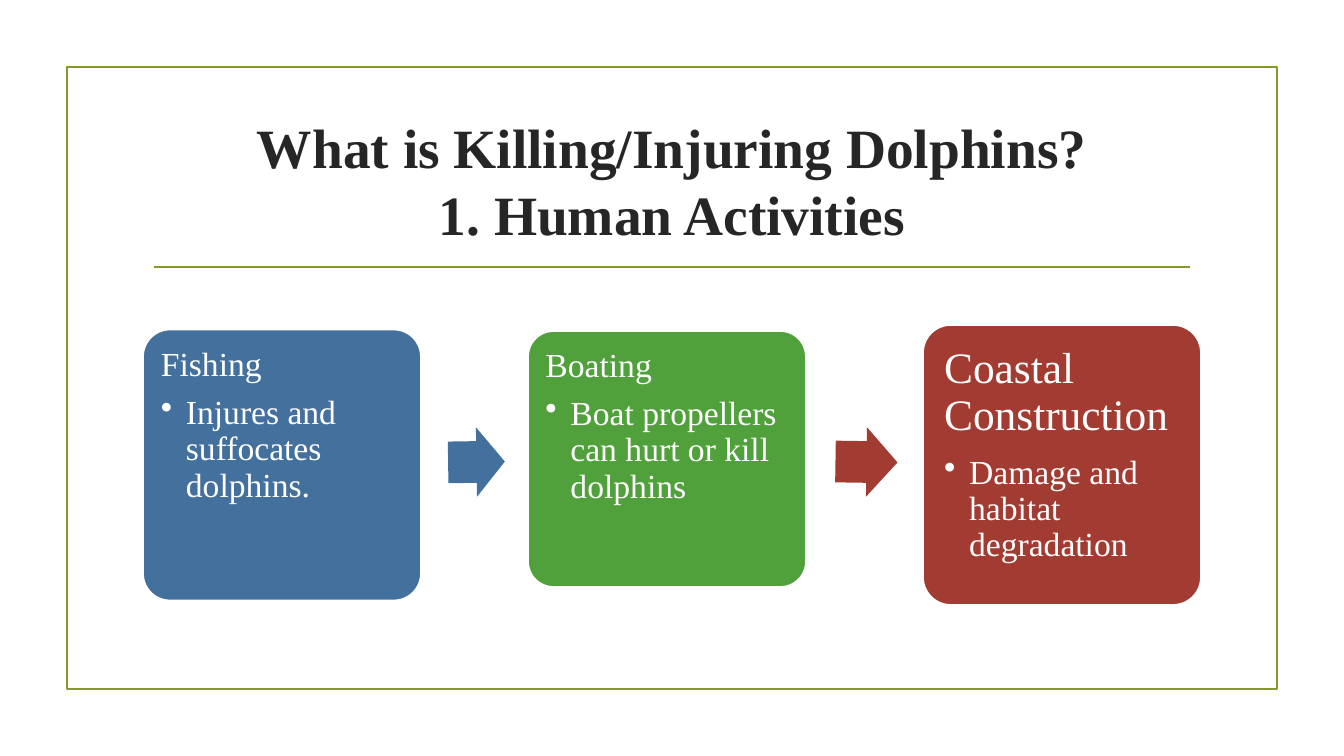
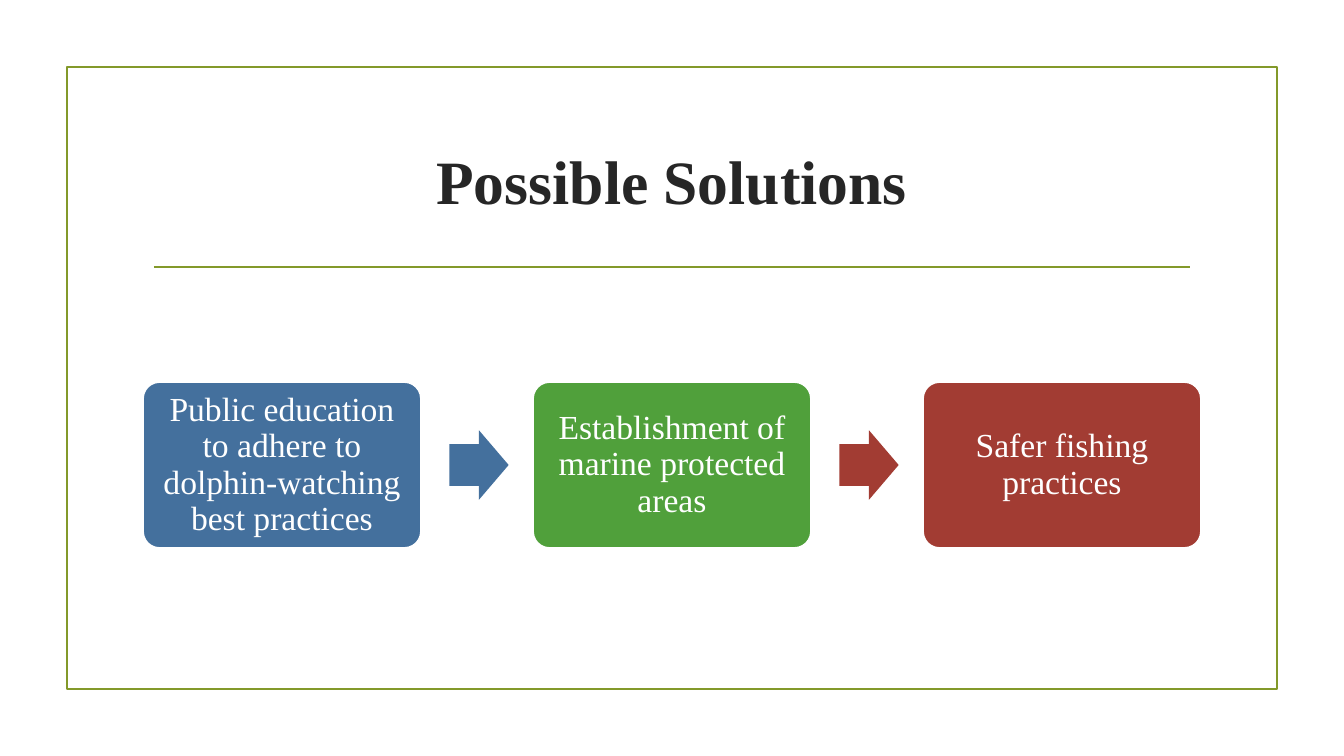
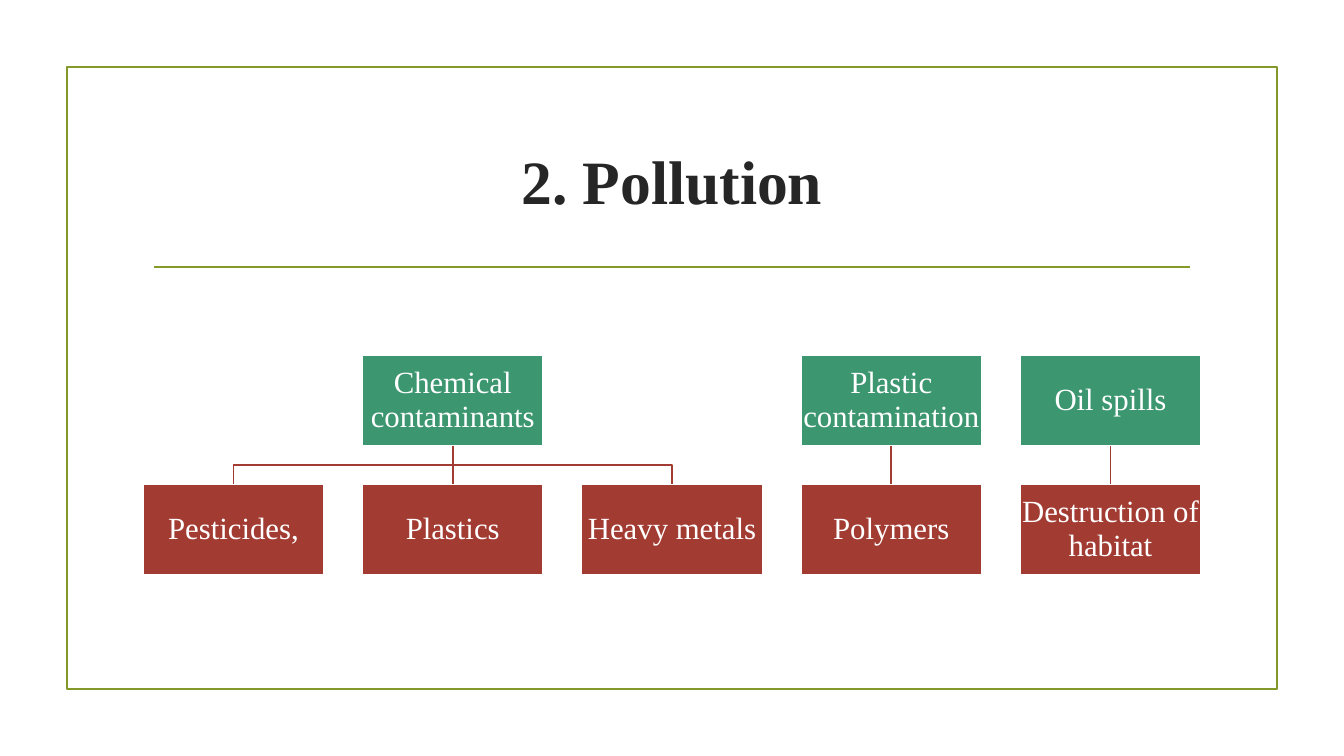
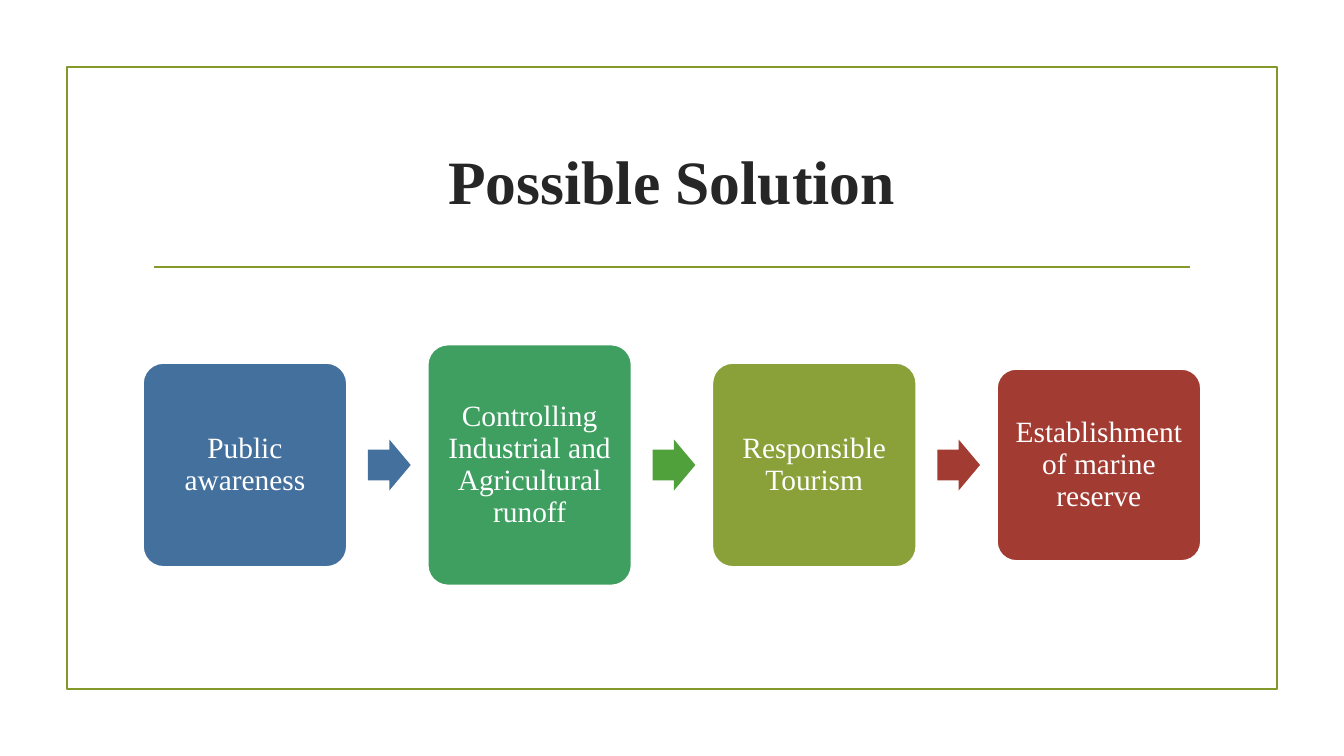
import math

import pptx
import pptx.dml.color
import pptx.enum.shapes
import pptx.enum.text
import pptx.util
from lxml import etree
from pptx.oxml.ns import qn

SHAPE = pptx.enum.shapes.MSO_SHAPE
ALIGN = pptx.enum.text.PP_ALIGN
ANCHOR = pptx.enum.text.MSO_ANCHOR

EMU_PER_PX = 914400 / 100.8
FONT = "Times New Roman"
WHITE, INK, OLIVE = "FFFFFF", "262626", "83992A"
BLUE, GREEN, RED = "44709D", "50A03B", "A23C33"
SEA, TEAL, MOSS = "3E9F61", "3C9770", "89A138"
LINE_WIDTH = 1.25

FRAME = (67, 67, 1210, 622)
TITLE = (143, 108, 1058, 144)
BODY = (143, 325, 1058, 280)


def px(length):
    return pptx.util.Emu(round(length * EMU_PER_PX))


def rgb(hex_code):
    return pptx.dml.color.RGBColor.from_string(hex_code)


def set_line(line, color):
    line.color.rgb = rgb(color)
    line.width = pptx.util.Pt(LINE_WIDTH)


def add_box(slide, kind, box, fill=None, line=None):
    shape = slide.shapes.add_shape(kind, *map(px, box))
    shape.shadow.inherit = False
    if fill:
        shape.fill.solid()
        shape.fill.fore_color.rgb = rgb(fill)
    else:
        shape.fill.background()
    if line:
        set_line(shape.line, line)
    else:
        shape.line.fill.background()
    return shape


def add_line(slide, start, end, color):
    line = slide.shapes.add_connector(
        pptx.enum.shapes.MSO_CONNECTOR.STRAIGHT, *map(px, start + end))
    set_line(line.line, color)
    etree.SubElement(line._element.spPr, qn("a:effectLst"))
    return line


def set_frame(shape, inset, anchor):
    frame = shape.text_frame
    frame.word_wrap = True
    frame.vertical_anchor = anchor
    frame.margin_left = frame.margin_right = px(inset)
    frame.margin_top = frame.margin_bottom = px(inset)
    return frame


def write(frame, text, size=24, color=WHITE, bold=False, align=ALIGN.CENTER,
          line_spacing=0.9, after=0.35, bullet=False):
    """Add one paragraph; after is a share of the text size."""
    paragraph = frame.paragraphs[0]
    if paragraph.runs:
        paragraph = frame.add_paragraph()
    paragraph.text = text
    paragraph.alignment = align
    paragraph.line_spacing = line_spacing
    paragraph.space_after = pptx.util.Pt(round(size * after, 2))
    for run in paragraph.runs:
        run.font.name = FONT
        run.font.size = pptx.util.Pt(size)
        run.font.bold = bold
        run.font.color.rgb = rgb(color)
    if bullet:
        properties = paragraph._p.get_or_add_pPr()
        properties.set("marL", str(px(25)))
        properties.set("indent", str(px(-25)))
        etree.SubElement(properties, qn("a:buChar"), char="•")


def titled_slide(deck, title, size=44):
    slide = deck.slides.add_slide(deck.slide_layouts[6])
    add_box(slide, SHAPE.RECTANGLE, FRAME, line=OLIVE)
    add_line(slide, (154, 267), (1190, 267), OLIVE)
    heading = slide.shapes.add_textbox(*map(px, TITLE))
    write(set_frame(heading, 5, ANCHOR.MIDDLE), title, size=size, color=INK,
          bold=True, line_spacing=1, after=0)
    return slide


def step_card(slide, box, step, size):
    card = add_box(slide, SHAPE.ROUNDED_RECTANGLE, box, step["color"], WHITE)
    card.adjustments[0] = 0.1
    size = step.get("size", size)
    inset = round(size * 0.42)
    if "detail" in step:
        frame = set_frame(card, inset, ANCHOR.TOP)
        write(frame, step["text"], size=size, align=ALIGN.LEFT)
        write(frame, step["detail"], align=ALIGN.LEFT, after=0.15, bullet=True)
    else:
        write(set_frame(card, inset, ANCHOR.MIDDLE), step["text"], size=size)


def step_arrow(slide, before, after, height, color):
    """Point an arrow from one card box to the next, across their gap."""
    x1, y1, w1, h1 = before
    x2, y2, w2, h2 = after
    gap = x2 - x1 - w1
    width = gap * 0.53
    middle_x = x1 + w1 + gap / 2 + 2
    rise = (y2 + h2 / 2) - (y1 + h1 / 2)
    middle_y = y1 + h1 / 2 + rise / 2
    arrow = add_box(slide, SHAPE.RIGHT_ARROW,
                    (middle_x - width / 2, middle_y - height / 2, width, height),
                    color)
    arrow.adjustments[0] = 0.6
    arrow.adjustments[1] = 0.5
    arrow.rotation = round(math.degrees(math.atan2(rise, x2 - x1)), 2)


def step_chain(slide, box, steps, card_width, arrow_colors, size=24):
    """Spread cards evenly over the box, centred on its middle line."""
    left, top, width, height = box
    pitch = (width - card_width) / (len(steps) - 1)
    cards = []
    for index, step in enumerate(steps):
        shift_x, shift_y = step.get("shift", (0, 0))
        card = (left + index * pitch + shift_x,
                top + (height - step["height"]) / 2 + shift_y,
                card_width, step["height"])
        step_card(slide, card, step, size)
        cards.append(card)
    for before, after, color in zip(cards, cards[1:], arrow_colors):
        step_arrow(slide, before, after, card_width / 4, color)


def tree_node(slide, box, text, color):
    node = add_box(slide, SHAPE.RECTANGLE, box, color, WHITE)
    write(set_frame(node, 1, ANCHOR.MIDDLE), text, size=22)
    return node


def elbow(slide, start, end, color):
    (x1, y1), (x2, y2) = start, end
    middle = (y1 + y2) / 2
    builder = slide.shapes.build_freeform(px(x1), px(y1))
    builder.add_line_segments(
        [(px(x), px(y)) for x, y in ((x1, middle), (x2, middle), (x2, y2))],
        close=False)
    branch = builder.convert_to_shape()
    branch.shadow.inherit = False
    branch.fill.background()
    set_line(branch.line, color)


def cause_trees(slide, box, trees):
    """Place each cause above the middle one of its effects."""
    left, top, width, height = box
    node_width, node_height, row_gap = 181, 91, 38
    columns = sum(len(effects) for _, effects in trees)
    pitch = (width - node_width) / (columns - 1)
    cause_top = top + (height - 2 * node_height - row_gap) / 2
    effect_top = cause_top + node_height + row_gap
    column = 0
    for cause, effects in trees:
        center = column + len(effects) // 2
        cause_left = left + center * pitch
        parent = tree_node(slide, (cause_left, cause_top, node_width, node_height),
                           cause, TEAL)
        start = (cause_left + node_width / 2, cause_top + node_height)
        for effect in effects:
            effect_left = left + column * pitch
            child = tree_node(
                slide, (effect_left, effect_top, node_width, node_height),
                effect, RED)
            end = (effect_left + node_width / 2, effect_top)
            if column == center:
                link = add_line(slide, start, end, RED)
                link.begin_connect(parent, 2)
                link.end_connect(child, 0)
            else:
                elbow(slide, start, end, RED)
            column += 1


def main():
    deck = pptx.Presentation()
    deck.slide_width, deck.slide_height = px(1344), px(756)

    activities = titled_slide(
        deck, "What is Killing/Injuring Dolphins?\v1. Human Activities", size=39.6)
    step_chain(activities, BODY, [
        dict(text="Fishing", detail="Injures and suffocates dolphins.",
             color=BLUE, height=271),
        dict(text="Boating", detail="Boat propellers can hurt or kill dolphins",
             color=GREEN, height=256, shift=(-5, -6)),
        dict(text="Coastal Construction", detail="Damage and habitat degradation",
             color=RED, height=280, size=31),
    ], 278, [BLUE, RED])

    solutions = titled_slide(deck, "Possible Solutions")
    step_chain(solutions, BODY, [
        dict(text="Public education to adhere to dolphin-watching best practices",
             color=BLUE, height=166),
        dict(text="Establishment of marine protected areas",
             color=GREEN, height=166),
        dict(text="Safer fishing practices", color=RED, height=166),
    ], 278, [BLUE, RED])

    pollution = titled_slide(deck, "2. Pollution")
    cause_trees(pollution, BODY, [
        ("Chemical contaminants", ["Pesticides,", "Plastics", "Heavy metals"]),
        ("Plastic contamination", ["Polymers"]),
        ("Oil spills", ["Destruction of habitat"]),
    ])

    remedies = titled_slide(deck, "Possible Solution")
    step_chain(remedies, BODY, [
        dict(text="Public awareness", color=BLUE, height=204),
        dict(text="Controlling Industrial and Agricultural runoff",
             color=SEA, height=241),
        dict(text="Responsible Tourism", color=MOSS, height=204),
        dict(text="Establishment of marine reserve", color=RED, height=192),
    ], 204, [BLUE, GREEN, RED], size=21)

    deck.save("out.pptx")


if __name__ == "__main__":
    main()
